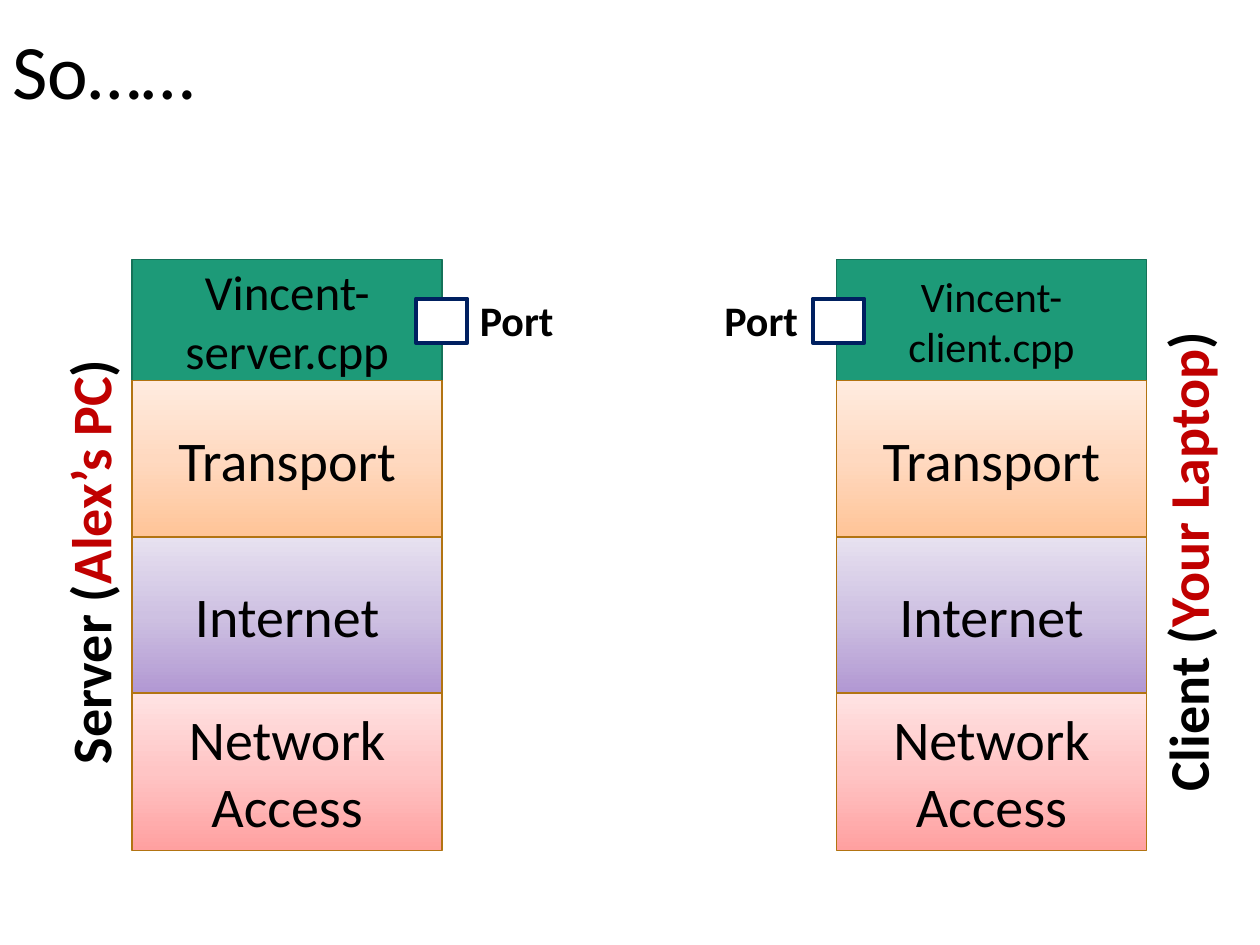
import copy
from dataclasses import dataclass

import pptx
import pptx.dml.color
import pptx.enum.shapes
import pptx.enum.text
import pptx.util
from pptx.util import Inches

ALIGN = pptx.enum.text.PP_ALIGN
ANCHOR = pptx.enum.text.MSO_ANCHOR
AUTO_SIZE = pptx.enum.text.MSO_AUTO_SIZE
RECTANGLE = pptx.enum.shapes.MSO_SHAPE.RECTANGLE


@dataclass(frozen=True)
class Theme:
    font: str = "Calibri"
    ink: str = "000000"
    accent: str = "C00000"
    program: str = "1D9A78"
    program_edge: str = "157259"
    port: str = "FFFFFF"
    port_edge: str = "002060"
    layer_edge: str = "B27412"
    transport: tuple = ("FFC497", "FFD9C0", "FFECE0")
    internet: tuple = ("B197D2", "CEC1E2", "E7E1F0")
    access: tuple = ("FFA0A0", "FFC5C5", "FFE3E3")
    title_size: int = 44
    layer_size: int = 32
    port_size: int = 24


THEME = Theme()
HOST_WIDTH = 2.46
PROGRAM_HEIGHT = 0.97
LAYER_HEIGHT = 1.25
LAYERS = (
    ("Transport", THEME.transport),
    ("Internet", THEME.internet),
    ("Network Access", THEME.access),
)
HOSTS = (
    dict(box=(1.05, 2.06), program="Vincent-server.cpp", program_size=28,
         role="Server", machine="Alex’s PC",
         label_left=-1.33, port_left=3.3, port_label_left=3.71),
    dict(box=(6.64, 2.06), program="Vincent-client.cpp", program_size=24,
         role="Client", machine="Your Laptop",
         label_left=7.38, port_left=6.45, port_label_left=5.65),
)


def rgb(value):
    return pptx.dml.color.RGBColor.from_string(value)


def apply_format(target, values):
    for name, value in values.items():
        setattr(target, name, value)


def write(shape, runs, size, bold=False, frame_format=None, paragraph_format=None):
    apply_format(shape.text_frame, {"word_wrap": True, **(frame_format or {})})
    paragraph = shape.text_frame.paragraphs[0]
    apply_format(paragraph, paragraph_format or {})
    for words, colour in runs:
        run = paragraph.add_run()
        run.text = words
        apply_format(run.font, {"name": THEME.font, "bold": bold,
                                "size": pptx.util.Pt(size)})
        run.font.color.rgb = rgb(colour)


def add_box(shapes, box, edge, edge_width, colour=None):
    block = shapes.add_shape(RECTANGLE, *map(Inches, box))
    block.shadow.inherit = False
    block.line.color.rgb = rgb(edge)
    block.line.width = pptx.util.Pt(edge_width)
    if colour:
        block.fill.solid()
        block.fill.fore_color.rgb = rgb(colour)
    return block


def write_centred(block, words, size):
    write(block, [(words, THEME.ink)], size,
          frame_format={"vertical_anchor": ANCHOR.MIDDLE},
          paragraph_format={"alignment": ALIGN.CENTER})


def shade(block, colours):
    block.fill.gradient()
    block.fill.gradient_angle = 90
    first_stop = block._element.spPr.xpath("./a:gradFill/a:gsLst/a:gs")[0]
    first_stop.addnext(copy.deepcopy(first_stop))
    for stop, position, colour in zip(block.fill.gradient_stops, (0, 0.5, 1), colours):
        stop.position = position
        stop.color.rgb = rgb(colour)


def place_title(slide, box):
    title = slide.shapes.title
    apply_format(title, dict(zip(("left", "top", "width", "height"), map(Inches, box))))
    write(title, [("So……", THEME.ink)], THEME.title_size,
          frame_format={"vertical_anchor": ANCHOR.MIDDLE, "auto_size": AUTO_SIZE.NONE},
          paragraph_format={"alignment": ALIGN.LEFT, "line_spacing": 0.9})


def place_application(slide, host):
    left, top = host["box"]
    shapes = slide.shapes.add_group_shape().shapes

    program = add_box(shapes, (left, top, HOST_WIDTH, PROGRAM_HEIGHT),
                      THEME.program_edge, 1, THEME.program)
    write_centred(program, host["program"], host["program_size"])

    host_label = shapes.add_textbox(
        *map(Inches, (host["label_left"], top + 2.08, 4.08, 0.64)))
    host_label.rotation = 270
    write(host_label,
          [(host["role"] + " (", THEME.ink), (host["machine"], THEME.accent),
           (")", THEME.ink)],
          THEME.layer_size, bold=True, paragraph_format={"alignment": ALIGN.CENTER})

    add_box(shapes, (host["port_left"], top + 0.31, 0.41, 0.35),
            THEME.port_edge, 2.25, THEME.port)
    port_label = shapes.add_textbox(
        *map(Inches, (host["port_label_left"], top + 0.23, 1.09, 0.5)))
    write(port_label, [("Port", THEME.ink)], THEME.port_size, bold=True)


def place_layers(slide, host):
    left, top = host["box"]
    shapes = slide.shapes.add_group_shape().shapes
    for index, (name, colours) in enumerate(LAYERS):
        layer_top = top + PROGRAM_HEIGHT - 0.01 + index * (LAYER_HEIGHT - 0.01)
        layer = add_box(shapes, (left, layer_top, HOST_WIDTH, LAYER_HEIGHT),
                        THEME.layer_edge, 1)
        shade(layer, colours)
        write_centred(layer, name, THEME.layer_size)


def main():
    deck = pptx.Presentation()
    deck.slide_width, deck.slide_height = Inches(10), Inches(7.5)
    slide = deck.slides.add_slide(deck.slide_layouts.get_by_name("Title Only"))
    place_title(slide, (0, 0, 10, 1.18))
    for place in (place_application, place_layers):
        for host in HOSTS:
            place(slide, host)
    deck.save("out.pptx")


if __name__ == "__main__":
    main()
